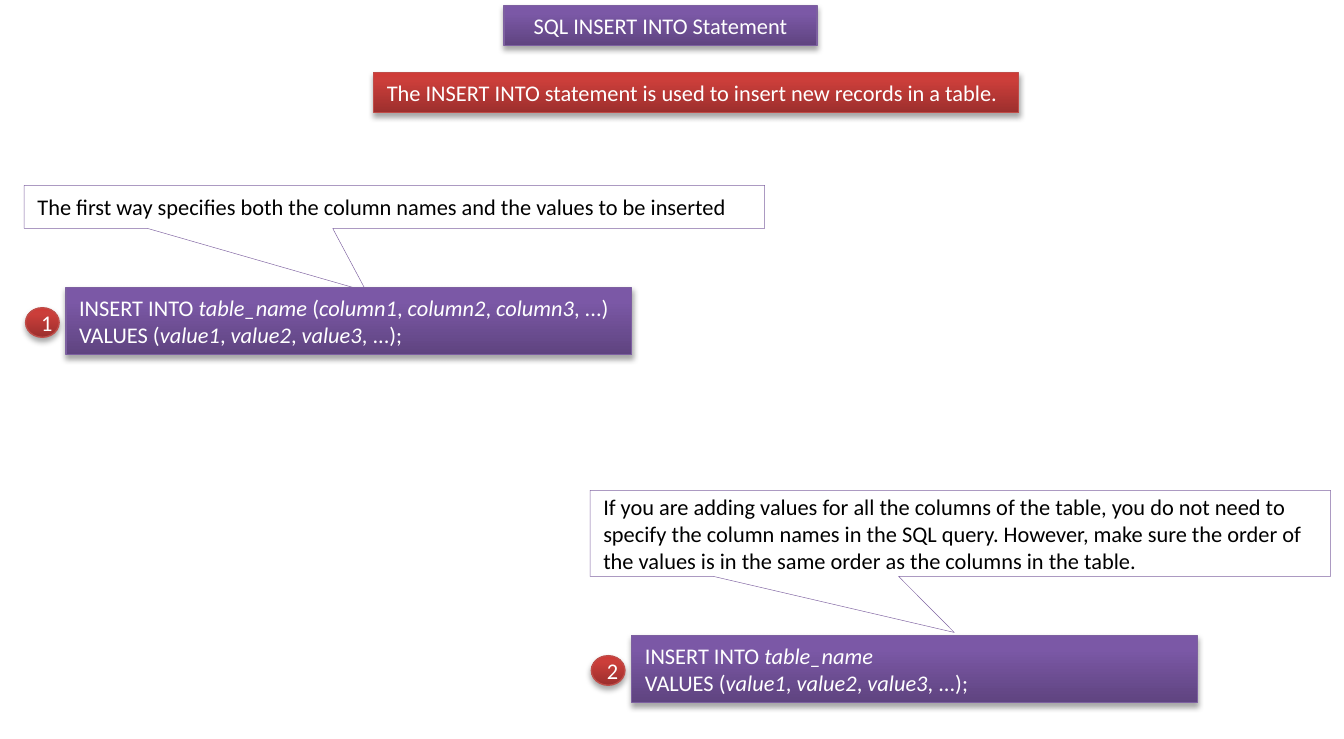
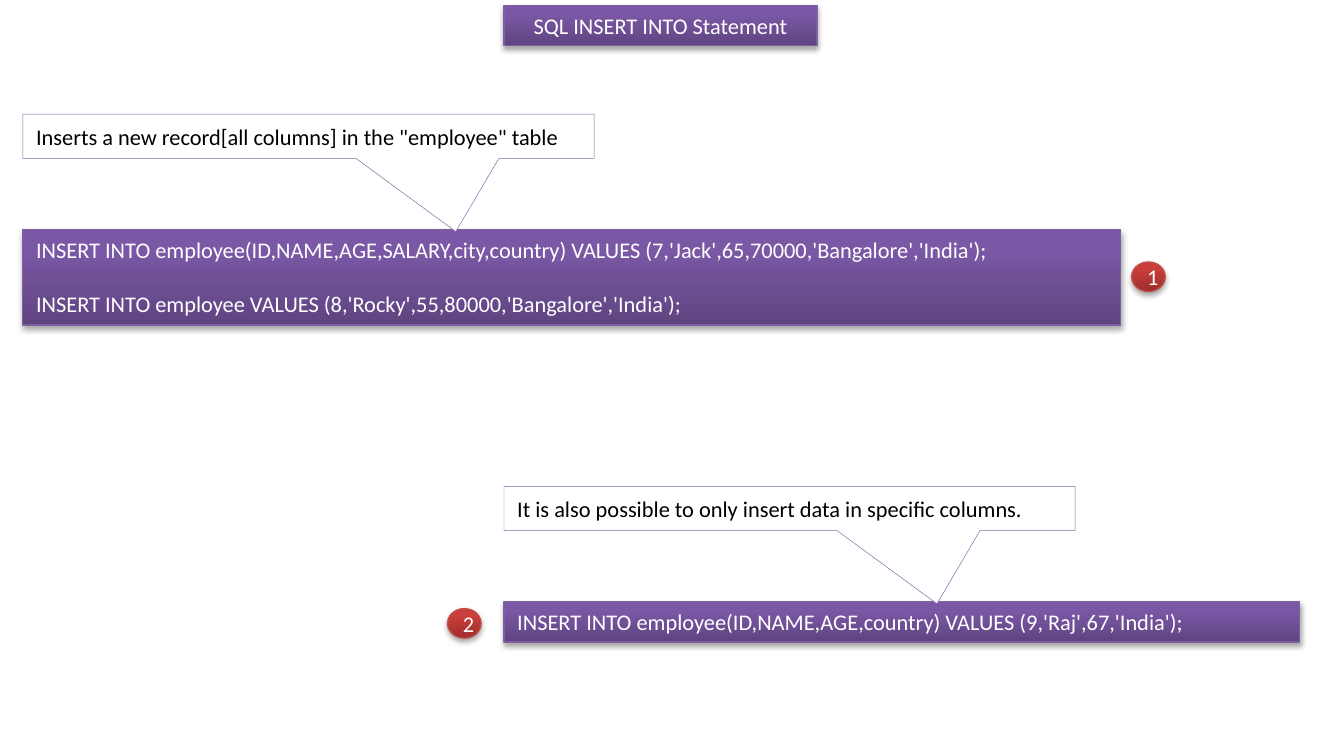
from copy import deepcopy

from pptx import Presentation, util as u
from pptx.dml.color import RGBColor
from pptx.enum import shapes, text
from pptx.oxml import parse_xml
from pptx.oxml.ns import nsdecls

COLORS = {"white": "FFFFFF", "black": "000000", "callout_line": "8064A2"}
GRADIENTS = {
    "purple": {"line": "7D60A0", "stops": [(0, "5F4480"), (0.8, "7B58A6"), (1, "7C57A8")]},
    "red": {"line": "BF4C48", "stops": [(0, "9C2F2D"), (0.8, "CB3E3A"), (1, "CE3B37")]},
}
FONT, FONT_SIZE = "Calibri", u.Pt(12)
BLANK_LINE = u.Pt(14.65)
BADGE_SIZE = (0.25, 0.22)
TITLE = ("title", (3.75, 0.04, 2.33, 0.3), ["SQL INSERT INTO Statement"])

SLIDES = [
    [
        TITLE,
        ("callout", (0.18, 1.38, 5.51, 0.32),
         ["The first way specifies both the column names and the values to be inserted"],
         (-0.038, 1.962)),
        ("code", (0.49, 2.14, 4.21, 0.5),
         ["INSERT INTO *table_name* (*column1*,* column2*,* column3*, ...)\n"
          "VALUES (*value1*,* value2*,* value3*, ...);"]),
        ("banner", (2.78, 0.54, 4.8, 0.3),
         ["The INSERT INTO statement is used to insert new records in a table."]),
        ("badge", (0.19, 2.29, *BADGE_SIZE), ["1"]),
        ("callout", (4.39, 3.65, 5.51, 0.64),
         ["If you are adding values for all the columns of the table, you do not need to "
          "specify the column names in the SQL query. However, make sure the order of "
          "the values is in the same order as the columns in the table."],
         (-0.008, 1.152)),
        ("code", (4.7, 4.73, 4.21, 0.5),
         ["INSERT INTO *table_name*\nVALUES (*value1*,* value2*,* value3*, ...);"]),
        ("badge", (4.4, 4.88, *BADGE_SIZE), ["2"]),
    ],
    [
        ("code", (0.17, 1.71, 8.17, 0.71),
         ["INSERT INTO employee(ID,NAME,AGE,SALARY,city,country) "
          "VALUES (7,'Jack',65,70000,'Bangalore','India');",
          "INSERT INTO employee VALUES (8,'Rocky',55,80000,'Bangalore','India');"]),
        TITLE,
        ("callout", (0.17, 0.85, 4.25, 0.33),
         ['Inserts a new record[all columns] in the "employee" table'], (0.258, 2.15)),
        ("code", (3.75, 4.48, 5.92, 0.3),
         ["INSERT INTO employee(ID,NAME,AGE,country) VALUES (9,'Raj',67,'India');"]),
        ("callout", (3.75, 3.62, 4.25, 0.33),
         ["It is also possible to only insert data in specific columns."], (0.258, 2.15)),
        ("badge", (8.42, 1.95, *BADGE_SIZE), ["1"]),
        ("badge", (3.33, 4.53, *BADGE_SIZE), ["2"]),
    ],
]

SHAPE_TYPES = {
    "callout": shapes.MSO_SHAPE.RECTANGULAR_CALLOUT,
    "badge": shapes.MSO_SHAPE.OVAL,
}


def paint_gradient(shape, gradient):
    shape.fill.gradient()
    shape.fill.gradient_angle = 90
    stop_list = shape._element.spPr.find(".//{*}gsLst")
    stop_list.append(deepcopy(stop_list[-1]))
    for stop, (position, color) in zip(shape.fill.gradient_stops, gradient["stops"]):
        stop.position = position
        stop.color.rgb = RGBColor.from_string(color)
    shape.line.color.rgb = RGBColor.from_string(gradient["line"])
    shape.line.width = u.Pt(0.75)
    shape._element.spPr.find("{*}effectLst").append(parse_xml(
        f'<a:outerShdw {nsdecls("a")} blurRad="{u.Pt(3.1)}" dist="{u.Pt(1.8)}" '
        'dir="5400000" rotWithShape="0"><a:srgbClr val="000000">'
        '<a:alpha val="35000"/></a:srgbClr></a:outerShdw>'))


def write_text(frame, paragraphs, color, alignment):
    for index, content in enumerate(paragraphs):
        paragraph = frame.add_paragraph() if index else frame.paragraphs[0]
        paragraph.alignment = alignment
        if index:
            paragraph.space_before = BLANK_LINE
        for line_number, line in enumerate(content.split("\n")):
            if line_number:
                paragraph.add_line_break()
            for part_number, part in enumerate(line.split("*")):
                if part:
                    run = paragraph.add_run()
                    run.text = part
                    run.font.name = FONT
                    run.font.size = FONT_SIZE
                    run.font.italic = part_number % 2 == 1
                    run.font.color.rgb = RGBColor.from_string(color)


presentation = Presentation()
presentation.slide_width = u.Inches(10)
presentation.slide_height = u.Inches(5.5)

for items in SLIDES:
    slide = presentation.slides.add_slide(presentation.slide_layouts[6])
    for kind, box, paragraphs, *pointer in items:
        shape_type = SHAPE_TYPES.get(kind, shapes.MSO_SHAPE.RECTANGLE)
        shape = slide.shapes.add_shape(shape_type, *map(u.Inches, box))
        shape.shadow.inherit = False
        frame = shape.text_frame
        frame.word_wrap = True
        if kind == "callout":
            shape.adjustments[0], shape.adjustments[1] = pointer[0]
            shape.fill.solid()
            shape.fill.fore_color.rgb = RGBColor.from_string(COLORS["white"])
            shape.line.color.rgb = RGBColor.from_string(COLORS["callout_line"])
            shape.line.width = u.Pt(0.25)
        else:
            paint_gradient(shape, GRADIENTS["red" if kind in ("banner", "badge") else "purple"])
        if kind in ("callout", "badge"):
            frame.vertical_anchor = text.MSO_ANCHOR.MIDDLE
        else:
            frame.vertical_anchor = text.MSO_ANCHOR.TOP
            frame.auto_size = text.MSO_AUTO_SIZE.SHAPE_TO_FIT_TEXT
        centred = kind in ("title", "badge")
        write_text(frame, paragraphs, COLORS["black" if kind == "callout" else "white"],
                   text.PP_ALIGN.CENTER if centred else text.PP_ALIGN.LEFT)

presentation.save("out.pptx")
